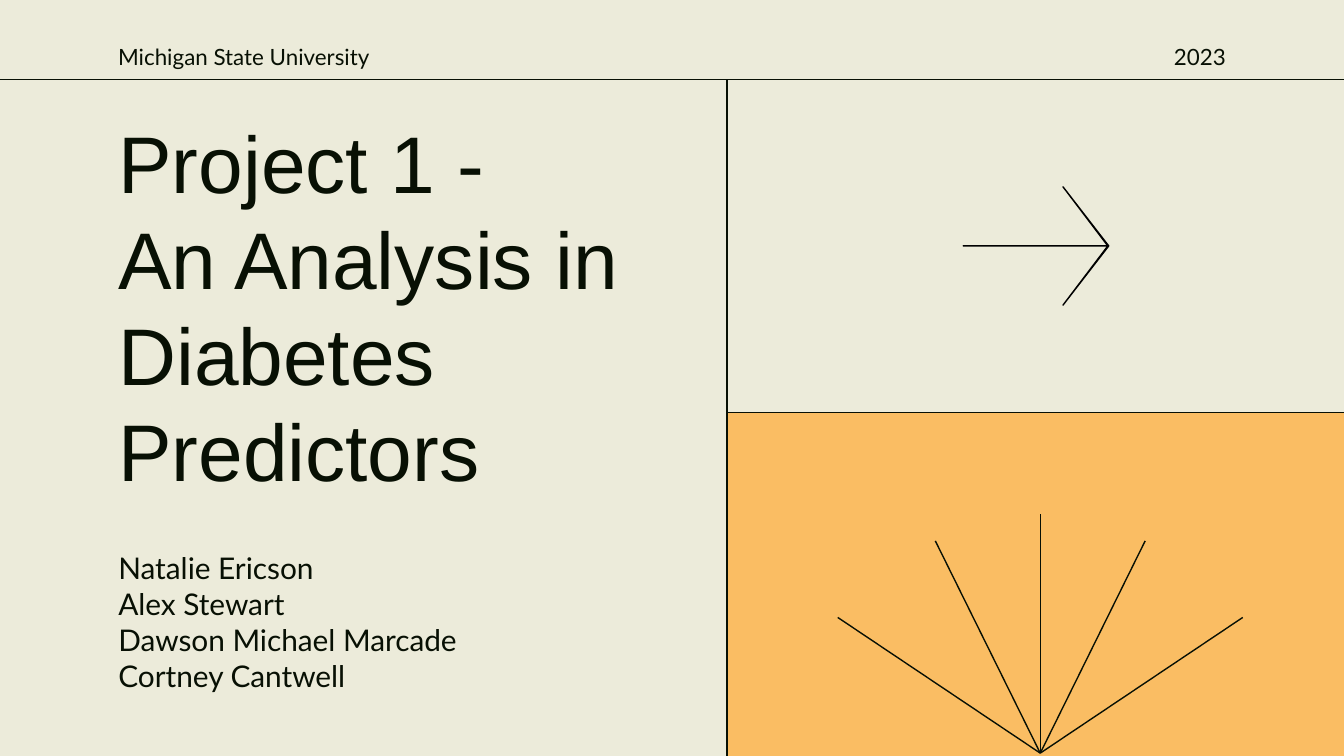
import pptx
import pptx.util
import pptx.dml.color
import pptx.enum.shapes
import pptx.enum.text
import pptx.oxml

Pt = pptx.util.Pt
INK = "081004"
PAPER = "ECEBDA"
GOLD = "FABD63"


def color(hue):
    """Turn a hex string into a colour."""
    return pptx.dml.color.RGBColor.from_string(hue)


def write(shape, box, lines, size=12, font="Lato", hue=INK, align="LEFT", anchor="TOP", pitch=1.0):
    """Place a text shape in a box and fill it with formatted paragraphs."""
    shape.left, shape.top, shape.width, shape.height = map(Pt, box)
    frame = shape.text_frame
    frame.word_wrap = True
    frame.auto_size = pptx.enum.text.MSO_AUTO_SIZE.NONE
    frame.vertical_anchor = pptx.enum.text.MSO_ANCHOR[anchor]
    frame.margin_left = frame.margin_right = Pt(7.2)
    frame.margin_top = frame.margin_bottom = Pt(7.2)
    frame.text = "\n".join(lines)
    for para in frame.paragraphs:
        para.alignment = pptx.enum.text.PP_ALIGN[align]
        para.space_before = para.space_after = Pt(0)
        para.line_spacing = pitch
        para.font.size = Pt(size)
        para.font.name = font
        para.font.color.rgb = color(hue)


def rule(shapes, start, end):
    """Draw a thin straight line between two points."""
    line = shapes.add_connector(
        pptx.enum.shapes.MSO_CONNECTOR.STRAIGHT, *map(Pt, (*start, *end)))
    line.line.color.rgb = color(INK)
    line.line.width = Pt(0.75)
    line._element.spPr.append(pptx.oxml.parse_xml(
        '<a:effectLst xmlns:a="http://schemas.openxmlformats.org/drawingml/2006/main"/>'))


def header(slide, box):
    """Build the top strip with school, year and lower rule."""
    left, top, width, height = box
    school = slide.shapes.add_textbox(0, 0, 0, 0)
    write(school, (left + 56.2, top + 18, 170, 24.5),
          ["Michigan State University"], anchor="MIDDLE")
    year = slide.shapes.add_textbox(0, 0, 0, 0)
    write(year, (left + width - 186.5, top + 18, 130.3, 24.5),
          ["2023"], align="RIGHT", anchor="MIDDLE")
    rule(slide.shapes, (left, top + height), (left + width, top + height))


def cover(slide, box):
    """Build the left panel with title, authors and right rule."""
    left, top, width, height = box
    write(slide.shapes.title, (left + 56.2, top + 10.7, 311.8, 221.8),
          ["Project 1 -", "An Analysis in Diabetes Predictors"],
          size=43, font="Arial", pitch=Pt(51.6))
    write(slide.placeholders[1], (left + 56.2, top + 244.8, 311.8, 87.1),
          ["Natalie Ericson", "Alex Stewart", "Dawson Michael Marcade", "Cortney Cantwell"],
          size=16)
    rule(slide.shapes, (left + width, top), (left + width, top + height))


def arrow(slide, box):
    """Build the upper right panel with its thin arrow."""
    left, top, width, height = box
    mid = top + height / 2
    tail, barb, tip = left + 126.5, left + 180, left + 204
    points = [(tip, mid), (tail, mid), (tip, mid), (barb, mid + 31.7), (tip + 0.5, mid)]
    path = slide.shapes.build_freeform(Pt(barb), Pt(mid - 31.7))
    path.add_line_segments([(Pt(x), Pt(y)) for x, y in points], close=True)
    shape = path.convert_to_shape()
    shape.shadow.inherit = False
    shape.fill.solid()
    shape.fill.fore_color.rgb = color("000000")
    shape.line.color.rgb = color("000000")
    shape.line.width = Pt(0.75)


def rays(slide, box):
    """Build the lower right panel with a fan of rays."""
    left, top, width, height = box
    panel = slide.shapes.add_shape(
        pptx.enum.shapes.MSO_SHAPE.RECTANGLE, *map(Pt, box))
    panel.shadow.inherit = False
    panel.fill.solid()
    panel.fill.fore_color.rgb = color(GOLD)
    panel.line.fill.background()
    rule(slide.shapes, (left, top), (left + width, top))
    hub_x, hub_y = left + 167.8, top + height - 1.5
    fan = slide.shapes.add_group_shape()
    for run, rise in [(-108.5, 72.7), (-56.2, 113.7), (0, 128), (56.2, 113.7), (108.5, 72.7)]:
        rule(fan.shapes, (hub_x, hub_y), (hub_x + run, hub_y - rise))


def main():
    """Build the slide and save it."""
    deck = pptx.Presentation()
    deck.slide_width, deck.slide_height = Pt(720), Pt(405)
    slide = deck.slides.add_slide(deck.slide_layouts[0])
    slide.background.fill.solid()
    slide.background.fill.fore_color.rgb = color(PAPER)
    wide, tall, head, split, shelf = 720, 405, 42.5, 389.5, 221
    header(slide, (0, 0, wide, head))
    arrow(slide, (split, head, wide - split, shelf - head))
    rays(slide, (split, shelf, wide - split, tall - shelf))
    cover(slide, (0, head, split, tall - head))
    deck.save("out.pptx")


if __name__ == "__main__":
    main()
